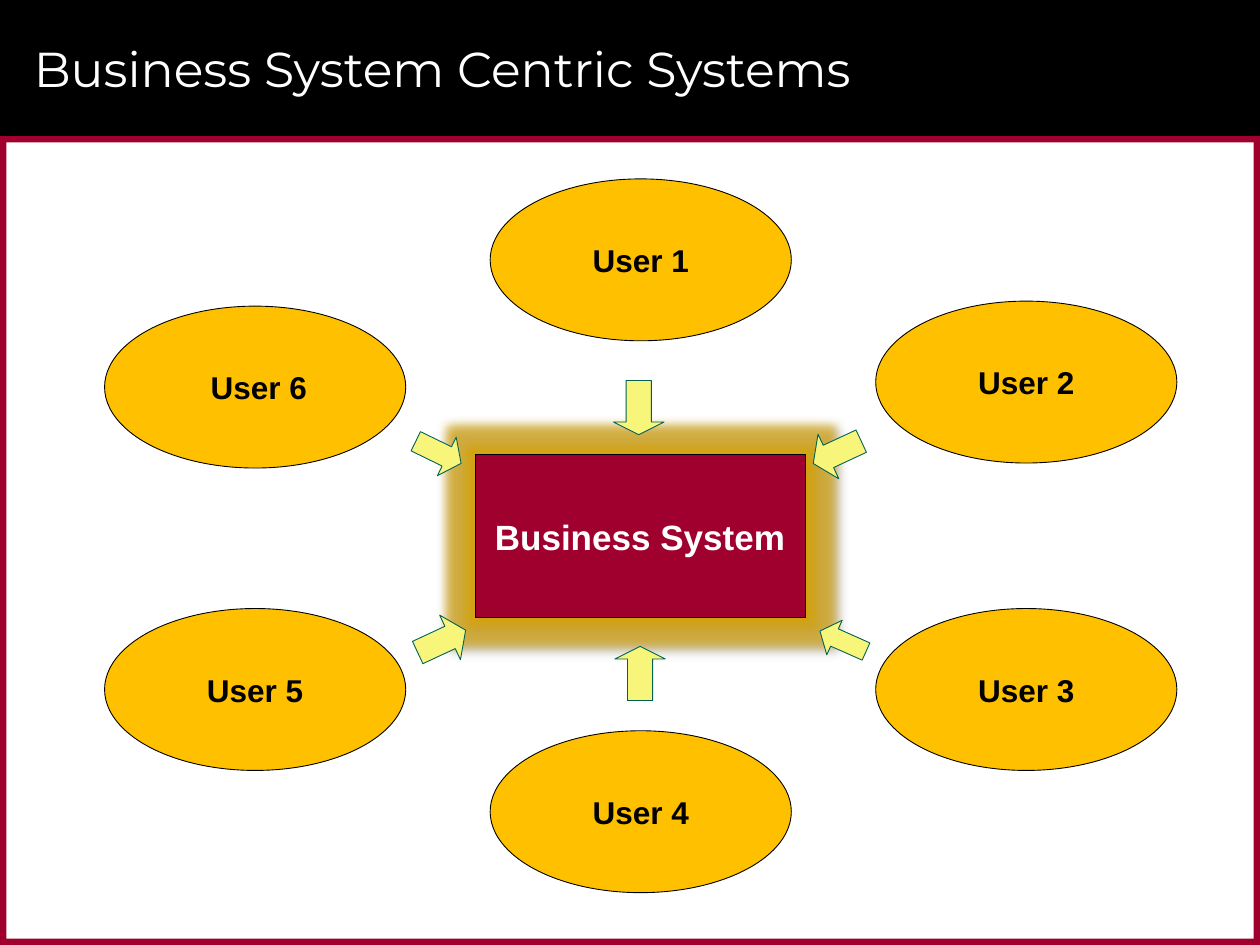
from lxml import etree
from pptx import Presentation
from pptx import util as u
from pptx.dml.color import RGBColor
from pptx.enum import shapes, text
from pptx.oxml.ns import qn

COLORS = {
    "black": "000000", "white": "FFFFFF", "crimson": "9F002D",
    "amber": "FFC000", "lemon": "F8F57B", "teal": "006157", "glow": "D9A300",
}
KIND = shapes.MSO_SHAPE

deck = Presentation()
deck.slide_width, deck.slide_height = u.Inches(10), u.Inches(7.5)
page = deck.slides.add_slide(deck.slide_layouts[6])
COLUMN, ROW = deck.slide_width / 100, deck.slide_height / 75


def add_block(kind, place, fill, line=None):
    """Add a shape at (column, row, columns, rows) of the 100 by 75 grid."""
    left, top, width, height = place
    shape = page.shapes.add_shape(kind, int(left * COLUMN), int(top * ROW),
                                  int(width * COLUMN), int(height * ROW))
    shape.shadow.inherit = False
    shape.fill.solid()
    shape.fill.fore_color.rgb = RGBColor.from_string(COLORS[fill])
    if line:
        shape.line.color.rgb = RGBColor.from_string(COLORS[line])
        shape.line.width = u.Pt(0.5)
    else:
        shape.line.fill.background()
    return shape


def write(box, words, size, color, font="Arial", bold=True,
          align=text.PP_ALIGN.CENTER, inset=0.05):
    frame = box.text_frame
    frame.word_wrap = True
    frame.vertical_anchor = text.MSO_ANCHOR.MIDDLE
    frame.margin_left = frame.margin_right = u.Inches(inset)
    frame.margin_top = frame.margin_bottom = u.Inches(0.05)
    para = frame.paragraphs[0]
    para.alignment = align
    span = para.add_run()
    span.text = words
    span.font.name, span.font.size, span.font.bold = font, u.Pt(size), bold
    span.font.color.rgb = RGBColor.from_string(COLORS[color])


# Title band and page frame
add_block(KIND.RECTANGLE, (0, 0, 100, 10.8), "black")
for edge in ((0, 10.8, 100, 0.5), (0, 74.5, 100, 0.5),
             (99.5, 10.8, 0.5, 64.2), (0, 10.8, 0.5, 64.2)):
    add_block(KIND.RECTANGLE, edge, "crimson")
title = page.shapes.add_textbox(int(1.7 * COLUMN), int(0.8 * ROW),
                                int(94.2 * COLUMN), int(9.2 * ROW))
write(title, "Business System Centric Systems", 28, "white", "Montserrat",
      False, text.PP_ALIGN.LEFT, 0.1)

# Glowing system in the middle
system = add_block(KIND.RECTANGLE, (37.7, 36.1, 26.2, 12.9), "crimson", "black")
write(system, "Business System", 20, "white")
effects = system._element.spPr.find(qn("a:effectLst"))
for tag, color, alpha, settings in (
        ("a:glow", "glow", 65, {"rad": u.Pt(11)}),
        ("a:outerShdw", "black", 40,
         {"blurRad": u.Pt(4), "dist": u.Pt(3), "dir": 45 * 60000})):
    effect = etree.SubElement(effects, qn(tag))
    for name, value in settings.items():
        effect.set(name, str(int(value)))
    tint = etree.SubElement(effect, qn("a:srgbClr"), val=COLORS[color])
    etree.SubElement(tint, qn("a:alpha"), val=str(alpha * 1000))

# Users around the system
LEFT, MIDDLE, RIGHT = 8.3, 38.9, 69.5
users = [("User 1", MIDDLE, 14.2), ("User 2", RIGHT, 23.9),
         ("User 3", RIGHT, 48.3), ("User 4", MIDDLE, 58),
         ("User 5", LEFT, 48.3), ("User 6", LEFT, 24.3)]
for name, left, top in users:
    user = add_block(KIND.OVAL, (left, top, 23.9, 12.85), "amber", "black")
    write(user, name, 18, "black")
    if name == "User 6":
        user.text_frame.margin_left = u.Inches(0.11)

# Arrows from each user to the system: place, clockwise turn, head length
arrows = [((48.7, 30.2, 4, 4.3), 0, 0.25),
          ((64.5, 33.8, 3.9, 4.2), 65, 0.34),
          ((65.4, 48.9, 3, 4), 114, 0.42),
          ((48.8, 51.3, 4, 4.3), 180, 0.25),
          ((33.1, 48.8, 3.9, 4.2), 245, 0.35),
          ((33.1, 33.9, 3.4, 4), 296, 0.37)]
for place, turn, head in arrows:
    arrow = add_block(KIND.DOWN_ARROW, place, "lemon", "teal")
    arrow.rotation = turn
    arrow.adjustments[0], arrow.adjustments[1] = 0.5, head

deck.save("out.pptx")
